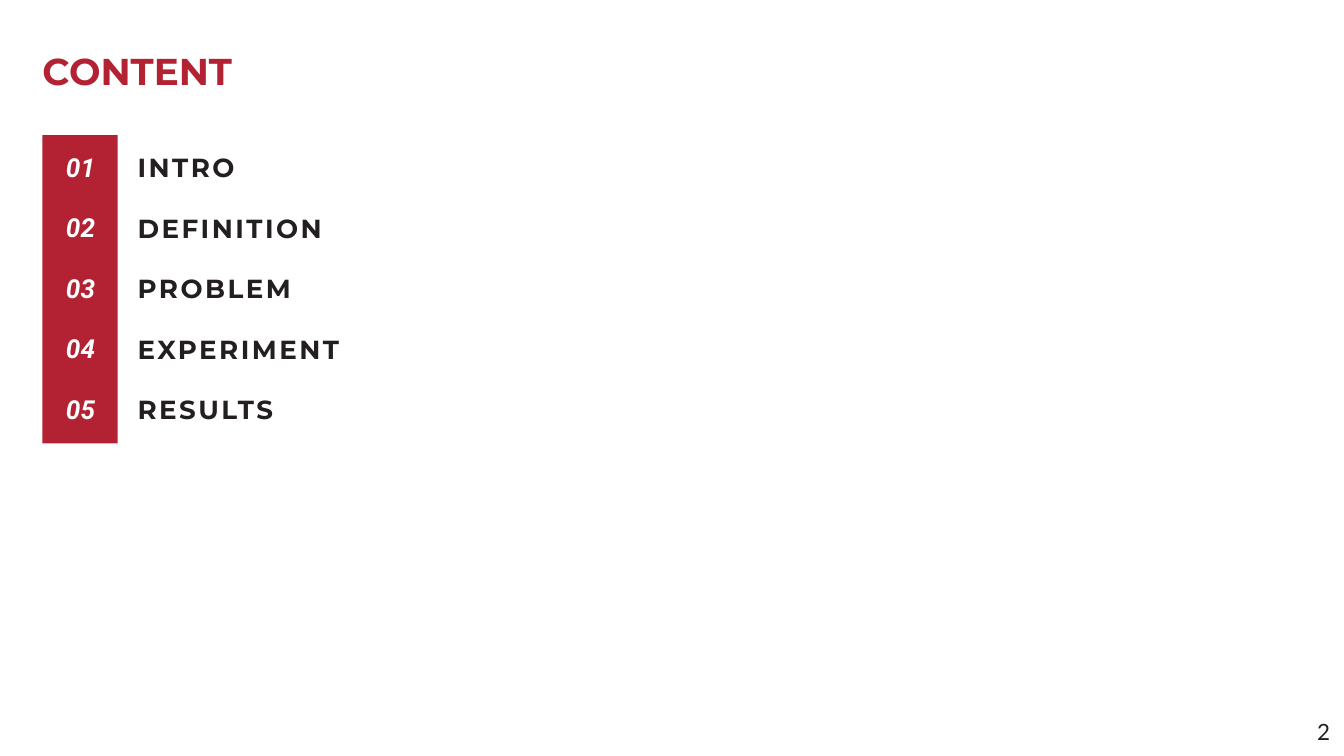
import pptx
import pptx.dml.color
import pptx.enum.shapes
import pptx.enum.text
import pptx.util

Pt = pptx.util.Pt
ALIGN = pptx.enum.text.PP_ALIGN
ANCHOR = pptx.enum.text.MSO_ANCHOR

RED = "B22232"
INK = "231F20"
WHITE = "FFFFFF"
CHAPTERS = ["INTRO", "DEFINITION", "PROBLEM", "EXPERIMENT", "RESULTS"]


def color(value):
    return pptx.dml.color.RGBColor.from_string(value)


def add_text(slide, box, text, font_name, size, fill, bold=True, italic=False,
             line_spacing=None, letter_spacing=0, align=ALIGN.LEFT,
             anchor=ANCHOR.TOP):
    """Place one line of text in box: left, top, width, height in points."""
    frame = slide.shapes.add_textbox(*map(Pt, box)).text_frame
    frame.margin_left = frame.margin_right = 0
    frame.margin_top = frame.margin_bottom = 0
    frame.word_wrap = True
    frame.vertical_anchor = anchor
    paragraph = frame.paragraphs[0]
    paragraph.text = text
    paragraph.alignment = align
    if line_spacing:
        paragraph.line_spacing = Pt(line_spacing)
    font = paragraph.font
    font.name = font_name
    font.size = Pt(size)
    font.bold = bold
    font.italic = italic
    font.color.rgb = color(fill)
    if letter_spacing:
        properties = paragraph.runs[0].font._rPr
        properties.set("spc", str(round(letter_spacing * 100)))


def add_title(slide, box):
    add_text(slide, box, "CONTENT", "Montserrat", 40, RED,
             anchor=ANCHOR.MIDDLE)


def add_chapter_list(slide, left, top, width, height):
    """Draw the red number band with the chapter names to its right."""
    band_width = 80.6
    band = slide.shapes.add_shape(
        pptx.enum.shapes.MSO_SHAPE.RECTANGLE,
        Pt(left), Pt(top), Pt(band_width), Pt(height))
    band.shadow.inherit = False
    band.fill.solid()
    band.fill.fore_color.rgb = color(RED)
    band.line.fill.background()

    row_pitch = 64.8
    label_left = left + 102
    for index, chapter in enumerate(CHAPTERS):
        row_top = top + 13 + index * row_pitch
        add_text(slide, (left + 13.4, row_top + 4.5, 55, 34),
                 f"{index + 1:02}", "Roboto", 28, WHITE, italic=True,
                 line_spacing=33.6, align=ALIGN.CENTER)
        add_text(slide, (label_left, row_top, left + width - label_left, 37),
                 chapter, "Montserrat", 28, INK, line_spacing=38.6,
                 letter_spacing=2.7)


def add_page_number(slide, box):
    add_text(slide, box, "2", "Lato", 24, INK, bold=False,
             line_spacing=33.1, letter_spacing=2.3)


def main():
    presentation = pptx.Presentation()
    presentation.slide_width = Pt(1440)
    presentation.slide_height = Pt(810)
    slide = presentation.slides.add_slide(presentation.slide_layouts[6])
    add_title(slide, (45.4, 51.5, 230, 48))
    add_chapter_list(slide, 45.4, 144.7, 1293, 330.5)
    add_page_number(slide, (1411.2, 764.6, 18.7, 33))
    presentation.save("out.pptx")


if __name__ == "__main__":
    main()
